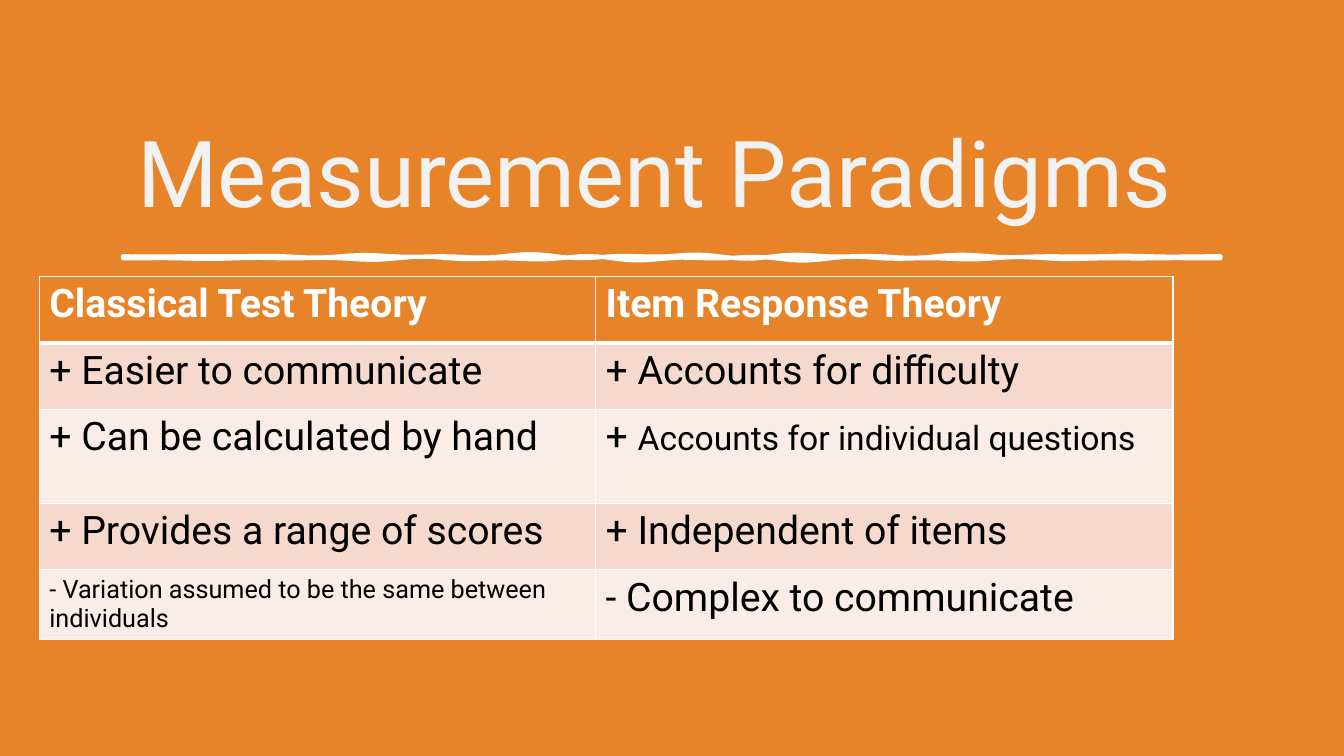
"""Builds the Measurement Paradigms comparison slide."""
import math

from lxml import etree
from pptx import Presentation
from pptx.dml.color import RGBColor
from pptx.enum.shapes import MSO_SHAPE
from pptx.enum.text import MSO_ANCHOR, MSO_AUTO_SIZE, PP_ALIGN
from pptx.oxml.ns import qn
from pptx.util import Cm, Pt

RECTANGLE = MSO_SHAPE.RECTANGLE
MIDDLE = MSO_ANCHOR.MIDDLE
NO_AUTOFIT = MSO_AUTO_SIZE.NONE
LEFT = PP_ALIGN.LEFT

FONT = "Roboto"
ORANGE = RGBColor(0xE7, 0x84, 0x29)
WHITE = RGBColor(0xFF, 0xFF, 0xFF)
OFF_WHITE = RGBColor(0xF2, 0xF2, 0xF2)
BLACK = RGBColor(0x00, 0x00, 0x00)
ROW_PINK = RGBColor(0xF6, 0xD9, 0xCD)
ROW_PALE = RGBColor(0xFA, 0xED, 0xE8)

COLUMN_WIDTHS = (14.02, 14.55)
ROW_HEIGHTS = (1.68, 1.68, 2.36, 1.68, 1.7)
ROWS = (
    ([("Classical Test Theory", 28)], [("Item Response Theory", 28)]),
    ([("+ Easier to communicate", 28)], [("+ Accounts for difficulty", 28)]),
    ([("+ Can be calculated by hand", 28)],
     [("+ ", 28), ("Accounts for individual questions", 24)]),
    ([("+ Provides a range of scores", 28)], [("+ Independent of items", 28)]),
    ([("- Variation assumed to be the same between individuals", 18)],
     [("- Complex to communicate", 28)]),
)


def format_font(font, size, color, bold=False):
    """Set the typeface, size, colour and weight of a font."""
    font.name = FONT
    font.size = Pt(size)
    font.color.rgb = color
    font.bold = bold


def add_backdrop(slide, width, height):
    """Cover the slide with an orange rectangle."""
    shape = slide.shapes.add_shape(RECTANGLE, 0, 0, width, height)
    shape.shadow.inherit = False
    shape.fill.solid()
    shape.fill.fore_color.rgb = ORANGE
    shape.line.fill.background()


def place_title(slide, text):
    """Move, fill and format the title placeholder."""
    title = slide.shapes.title
    title.left, title.top = Cm(3.2), Cm(2.46)
    title.width, title.height = Cm(27.46), Cm(3.68)
    frame = title.text_frame
    frame.text = text
    frame.word_wrap = True
    frame.auto_size = NO_AUTOFIT
    frame.vertical_anchor = MIDDLE
    paragraph = frame.paragraphs[0]
    paragraph.alignment = LEFT
    format_font(paragraph.runs[0].font, 66, OFF_WHITE)


def add_brush_line(slide, left, width, top, thickness):
    """Draw a white hand-drawn rule with gently wavering edges."""
    steps = 120

    def edge(base, phase):
        """Return the points of one wavering edge."""
        points = []
        for step in range(steps + 1):
            x = width * step / steps
            wave = math.sin(2.9 * x + phase) + math.sin(1.7 * x + 2 * phase)
            taper = math.sin(math.pi * step / steps)
            points.append((Cm(left + x), Cm(base + 0.03 * wave * taper)))
        return points

    outline = edge(top, 0) + edge(top + thickness, 2)[::-1]
    builder = slide.shapes.build_freeform(*outline[0])
    builder.add_line_segments(outline[1:], close=True)
    shape = builder.convert_to_shape()
    shape.shadow.inherit = False
    shape.fill.solid()
    shape.fill.fore_color.rgb = WHITE
    shape.line.color.rgb = WHITE
    shape.line.width = Pt(3)


def add_border(cell, side, points):
    """Give one side of a cell a white border."""
    properties = cell._tc.get_or_add_tcPr()
    line = etree.SubElement(properties, qn(f"a:ln{side}"), w=str(Pt(points)))
    fill = etree.SubElement(line, qn("a:solidFill"))
    etree.SubElement(fill, qn("a:srgbClr"), val=str(WHITE))


def fill_cell(cell, pieces, row):
    """Write and format one cell of the comparison table."""
    header = row == 0
    borders = {"L": 1, "R": 1, "T": 3 if row == 1 else 1, "B": 3 if header else 1}
    for side, points in borders.items():
        add_border(cell, side, points)
    cell.fill.solid()
    cell.fill.fore_color.rgb = ORANGE if header else (ROW_PALE, ROW_PINK)[row % 2]
    paragraph = cell.text_frame.paragraphs[0]
    for text, size in pieces:
        run = paragraph.add_run()
        run.text = text
        format_font(run.font, size, WHITE if header else BLACK, header)


def add_comparison_table(slide):
    """Add the table that compares the two theories."""
    frame = slide.shapes.add_table(
        len(ROWS), len(COLUMN_WIDTHS), Cm(0.99), Cm(6.96),
        Cm(sum(COLUMN_WIDTHS)), Cm(sum(ROW_HEIGHTS)))
    table = frame.table
    for column, width in zip(table.columns, COLUMN_WIDTHS):
        column.width = Cm(width)
    for row, height in enumerate(ROW_HEIGHTS):
        table.rows[row].height = Cm(height)
        for column, pieces in enumerate(ROWS[row]):
            fill_cell(table.cell(row, column), pieces, row)


def main():
    """Build and save the presentation."""
    presentation = Presentation()
    presentation.slide_width = Cm(33.87)
    presentation.slide_height = Cm(19.05)
    slide = presentation.slides.add_slide(presentation.slide_layouts[5])
    add_backdrop(slide, presentation.slide_width, presentation.slide_height)
    place_title(slide, "Measurement Paradigms")
    slide.shapes._spTree.append(slide.shapes.title._element)
    add_brush_line(slide, left=3.1, width=27.66, top=6.46, thickness=0.05)
    add_comparison_table(slide)
    presentation.save("out.pptx")


if __name__ == "__main__":
    main()
